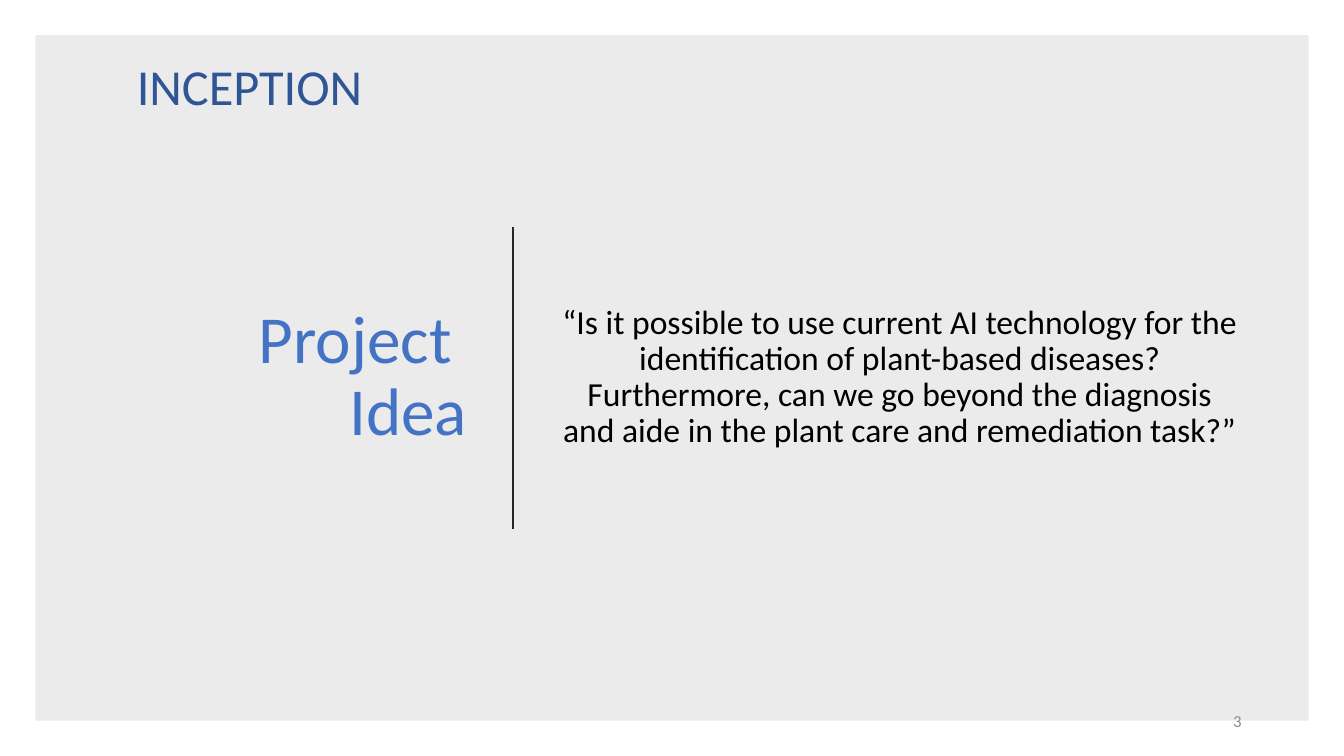
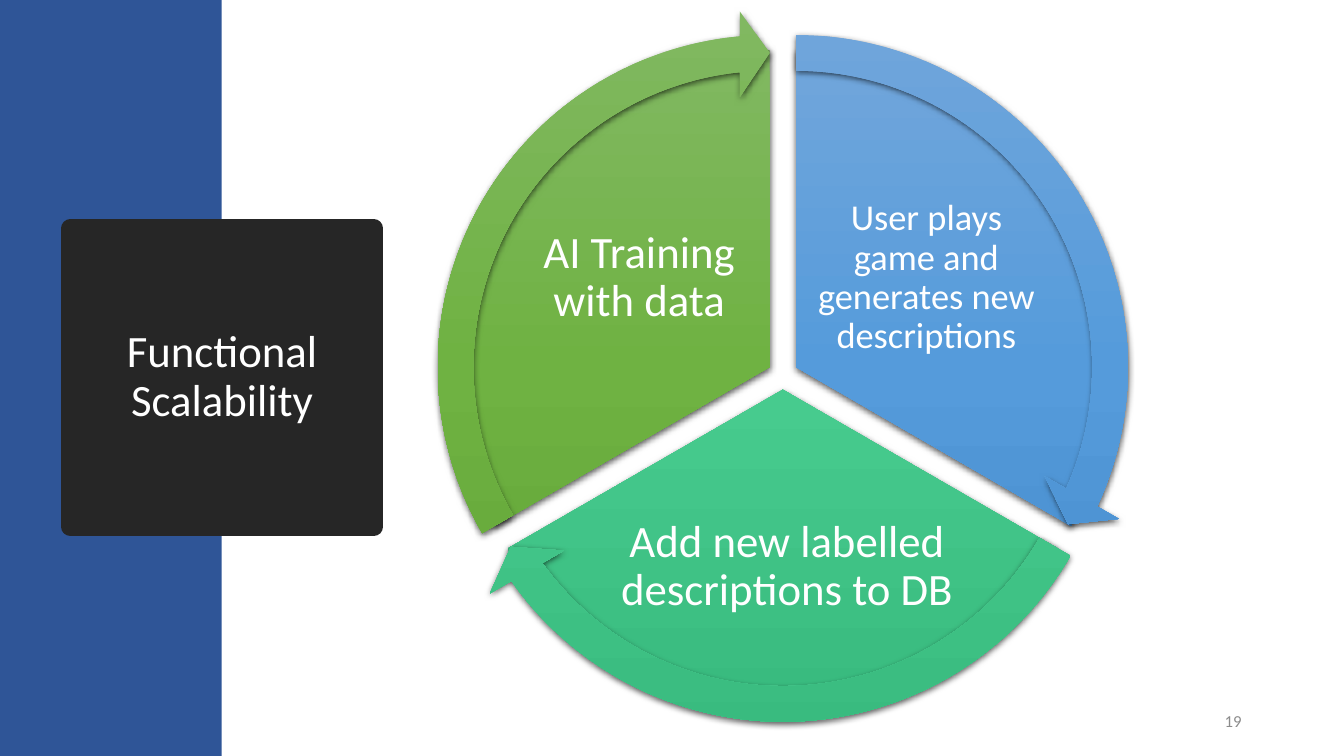
"""Build two slides: a project idea and a cycle of functional scalability."""
import dataclasses
import copy
import math
import typing

import lxml.etree
import pptx
import pptx.dml.color
import pptx.enum.shapes
import pptx.enum.text
import pptx.oxml.ns
import pptx.util

RGBColor = pptx.dml.color.RGBColor
Shape = pptx.enum.shapes.MSO_SHAPE
Align = pptx.enum.text.PP_ALIGN
Anchor = pptx.enum.text.MSO_ANCHOR
qn = pptx.oxml.ns.qn

WIDE = 12192000
HIGH = 6858000
COL = WIDE / 160
ROW = HIGH / 90

FONT = "Calibri"
WHITE = RGBColor(0xFF, 0xFF, 0xFF)
BLACK = RGBColor(0x00, 0x00, 0x00)
DARK = RGBColor(0x26, 0x26, 0x26)
GRAY = RGBColor(0x8C, 0x8C, 0x8C)
NAVY = RGBColor(0x2F, 0x55, 0x97)
BLUE = RGBColor(0x44, 0x72, 0xC4)
SKY = (RGBColor(0x71, 0xA6, 0xDB), RGBColor(0x55, 0x9B, 0xDB), RGBColor(0x44, 0x8A, 0xCA))
MINT = (RGBColor(0x67, 0xCC, 0x9A), RGBColor(0x47, 0xCB, 0x8E), RGBColor(0x39, 0xBB, 0x7F))
LEAF = (RGBColor(0x81, 0xB8, 0x61), RGBColor(0x6F, 0xB2, 0x42), RGBColor(0x62, 0xA3, 0x36))


class Box(typing.NamedTuple):
    """Left, top, width and height in grid cells."""
    left: float
    top: float
    width: float
    height: float

    def emu(self) -> tuple[int, ...]:
        """Return the box in EMU."""
        return tuple(round(n * u) for n, u in zip(self, (COL, ROW, COL, ROW)))


@dataclasses.dataclass(frozen=True)
class Style:
    """Look of a text."""
    size: float
    color: RGBColor
    align: Align = Align.CENTER
    anchor: Anchor = Anchor.MIDDLE
    space: float = 0.9


@dataclasses.dataclass(frozen=True)
class Sector:
    """One third of the cycle, with angles in degrees."""
    text: str
    size: float
    start: float
    end: float
    tones: tuple[RGBColor, ...]
    label: Box


NUMBER = Box(113, 83.4, 36, 4.8)
HUB = (93.2, 44.6)
GAP = 1.8
PIE = 75.6
RING = 85
UNIT = 0.6
TIP = 3.28
SECTORS = (
    Sector("User plays game and generates new descriptions", 26, 270, 30, SKY,
           Box(96.8, 21.8, 27, 22.6)),
    Sector("Add new labelled descriptions to DB", 32, 30, 150, MINT,
           Box(73.4, 57.6, 40.6, 19.8)),
    Sector("AI Training with data", 32, 150, 270, LEAF,
           Box(62.6, 21.8, 27, 22.6)),
)


def write(shape: typing.Any, text: str, style: Style) -> None:
    """Set and format the text of a shape."""
    frame = shape.text_frame
    frame.text = text
    frame.word_wrap = True
    frame.auto_size = pptx.enum.text.MSO_AUTO_SIZE.NONE
    frame.vertical_anchor = style.anchor
    for para in frame.paragraphs:
        para.alignment = style.align
        para.line_spacing = style.space
        for run in para.runs:
            run.font.name = FONT
            run.font.size = pptx.util.Pt(style.size)
            run.font.color.rgb = style.color


def add_text(shapes: typing.Any, box: Box, text: str, style: Style) -> typing.Any:
    """Add a text box."""
    shape = shapes.add_textbox(*box.emu())
    write(shape, text, style)
    return shape


def add_page(deck: typing.Any, box: Box, title: str, style: Style, number: str) -> typing.Any:
    """Add a slide with its title and number."""
    slide = deck.slides.add_slide(deck.slide_layouts[5])
    head = slide.shapes.title
    head.left, head.top, head.width, head.height = box.emu()
    write(head, title, style)
    add_text(slide.shapes, NUMBER, number, Style(12, GRAY, Align.RIGHT, space=1))
    return slide


def add_panel(slide: typing.Any, box: Box, color: RGBColor) -> typing.Any:
    """Add a plain rectangle behind the title."""
    panel = slide.shapes.add_shape(Shape.RECTANGLE, *box.emu())
    panel.shadow.inherit = False
    panel.fill.solid()
    panel.fill.fore_color.rgb = color
    panel.line.fill.background()
    slide.shapes.title.element.addprevious(panel.element)
    return panel


def add_alpha(color: typing.Any, share: int) -> None:
    """Make a colour element see-through, in percent."""
    lxml.etree.SubElement(color, qn("a:alpha"), val=str(share * 1000))


def add_part(shapes: typing.Any, kind: Shape, sector: Sector, size: float,
             turns: tuple[float, ...]) -> None:
    """Add one pie or arrow, pushed out from the hub."""
    mid = math.radians(sector.end - 60)
    left = HUB[0] + GAP * math.cos(mid) - size / 2
    top = HUB[1] + GAP * math.sin(mid) - size / 2
    part = shapes.add_shape(kind, *Box(left, top, size, size).emu())
    for spot, turn in enumerate(turns):
        part.adjustments[spot] = turn
    part.line.fill.background()
    part.fill.gradient()
    part.fill.gradient_angle = 270
    stops = part.element.spPr.find(".//" + qn("a:gsLst"))
    stops.insert(1, copy.deepcopy(stops[0]))
    for spot, (stop, tone) in enumerate(zip(part.fill.gradient_stops, sector.tones)):
        stop.position = spot / 2
        stop.color.rgb = tone
    part.shadow.inherit = False
    glow = lxml.etree.SubElement(
        part.element.spPr.find(qn("a:effectLst")), qn("a:outerShdw"),
        blurRad=str(pptx.util.Pt(4.5)), dist=str(pptx.util.Pt(1.5)),
        dir="5400000", algn="ctr", rotWithShape="0")
    add_alpha(lxml.etree.SubElement(glow, qn("a:srgbClr"), val=str(BLACK)), 63)


def add_idea(deck: typing.Any) -> None:
    """Add the project idea slide."""
    slide = add_page(deck, Box(11, 12.6, 45.8, 64.7), "Project \vIdea",
                     Style(48, BLUE, Align.RIGHT), "3")
    panel = add_panel(slide, Box(4.2, 4.2, 151.6, 81.6), BLACK)
    add_alpha(panel.element.spPr.find(".//" + qn("a:srgbClr")), 8)
    left, top, _, high = Box(61.1, 27, 0, 36).emu()
    rule = slide.shapes.add_connector(
        pptx.enum.shapes.MSO_CONNECTOR.STRAIGHT, left, top, left, top + high)
    rule.line.color.rgb = DARK
    rule.line.width = pptx.util.Pt(1.5)
    lxml.etree.SubElement(rule.element.spPr, qn("a:effectLst"))
    add_text(slide.shapes, Box(65.3, 12.6, 83.6, 64.7),
             "“Is it possible to use current AI technology for the identification of "
             "plant-based diseases? Furthermore, can we go beyond the diagnosis and "
             "aide in the plant care and remediation task?”", Style(24, BLACK))
    add_text(slide.shapes, Box(15.1, 6, 48.1, 8.5), "INCEPTION",
             Style(36, NAVY, Align.LEFT, Anchor.TOP, 1))


def add_cycle(deck: typing.Any) -> None:
    """Add the scalability cycle slide."""
    slide = add_page(deck, Box(8.4, 27.2, 36.1, 35.5), "Functional Scalability",
                     Style(32, WHITE), "19")
    add_panel(slide, Box(0, 0, 26.4, 90), NAVY)
    head = slide.shapes.title
    head.fill.solid()
    head.fill.fore_color.rgb = DARK
    head.line.color.rgb = DARK
    head.line.width = pptx.util.Pt(13.75)
    shapes = slide.shapes.add_group_shape().shapes
    for item in SECTORS:
        add_part(shapes, Shape.PIE, item, PIE, (item.start * UNIT, item.end * UNIT))
        label = add_text(shapes, item.label, item.text, Style(item.size, WHITE))
        frame = label.text_frame
        frame.margin_left = frame.margin_right = pptx.util.Inches(0.04)
        frame.margin_top = frame.margin_bottom = pptx.util.Inches(0.04)
    for item in SECTORS:
        add_part(shapes, Shape.CIRCULAR_ARROW, item, RING,
                 (0.05, TIP, item.end * UNIT - TIP, item.start * UNIT, 0.06))


def main() -> None:
    """Build and save the deck."""
    deck = pptx.Presentation()
    deck.slide_width = WIDE
    deck.slide_height = HIGH
    add_idea(deck)
    add_cycle(deck)
    deck.save("out.pptx")


if __name__ == "__main__":
    main()
